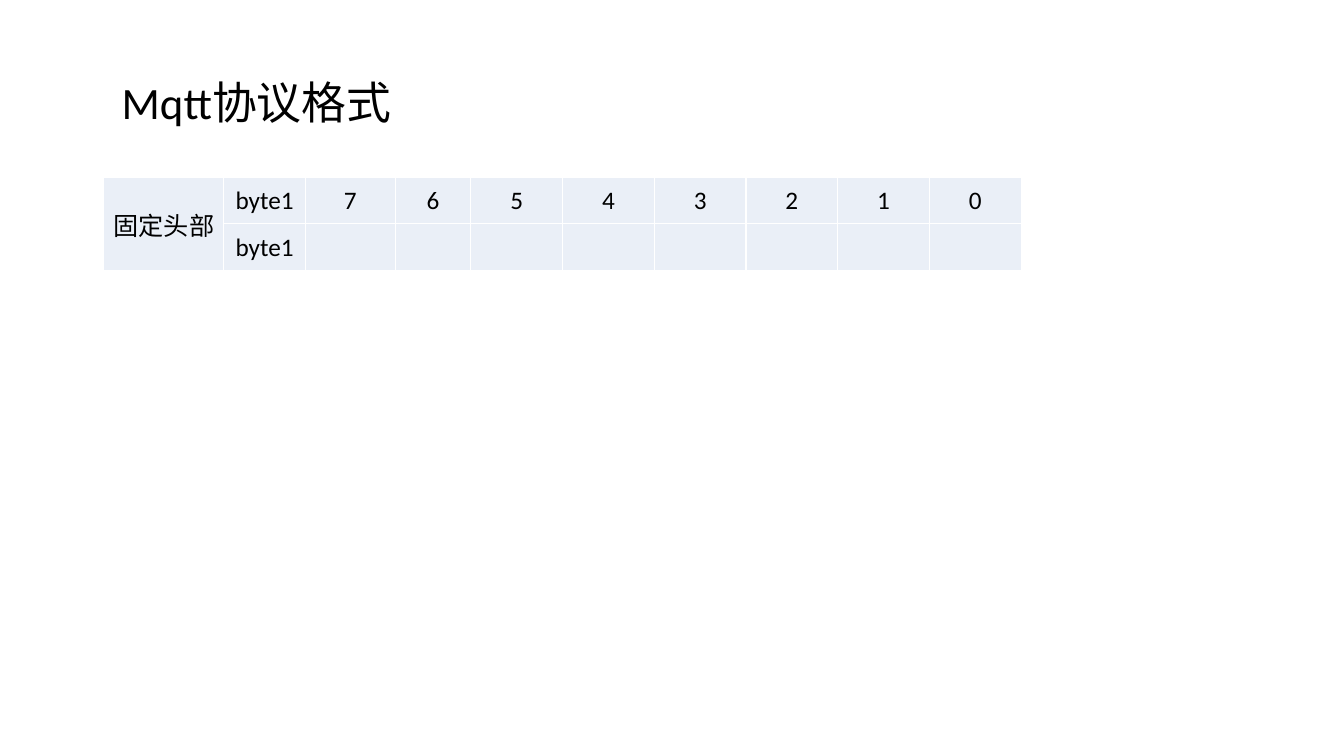
from pptx import Presentation
from pptx.dml.color import RGBColor
from pptx.enum.text import MSO_ANCHOR, MSO_AUTO_SIZE, PP_ALIGN
from pptx.oxml.ns import qn
from pptx.util import Inches, Pt
from lxml import etree

CENTER = PP_ALIGN.CENTER
MIDDLE = MSO_ANCHOR.MIDDLE
NO_FIT = MSO_AUTO_SIZE.NONE
TITLE_ONLY = 5

COLORS = {"text": "000000", "cell": "EAEFF7", "border": "FFFFFF"}
FONT = "Calibri"
COL_WIDTHS = [1.19, 0.81, 0.89, 0.75] + [0.91] * 6
ROW_HEIGHT = 0.46
HEADER_ROWS = [
    ["固定头部", "byte1"] + [str(bit) for bit in range(7, -1, -1)],
    ["", "byte1"] + [""] * 8,
]


def write(tf, text, size=18, color="text", align=CENTER):
    """Put one formatted paragraph into a text frame."""
    p = tf.paragraphs[0]
    p.alignment = align
    r = p.add_run()
    r.text = text
    r.font.size = Pt(size)
    r.font.name = FONT
    r.font.color.rgb = RGBColor.from_string(COLORS[color])


class SlideBuilder:
    """Hold the current slide and draw elements in its style."""

    def __init__(self, prs):
        """Add a title-only slide to the presentation."""
        self.s = prs.slides.add_slide(prs.slide_layouts[TITLE_ONLY])

    def title(self, text, left, top, width, height):
        """Move, fill and format the title placeholder."""
        sp = self.s.shapes.title
        sp.left, sp.top = Inches(left), Inches(top)
        sp.width, sp.height = Inches(width), Inches(height)
        tf = sp.text_frame
        tf.auto_size = NO_FIT
        tf.word_wrap = True
        tf.vertical_anchor = MIDDLE
        write(tf, text, size=32)

    def border(self, cell, width=1):
        """Draw a solid line on all four sides of a cell."""
        tc_pr = cell._tc.get_or_add_tcPr()
        for i, side in enumerate(("a:lnL", "a:lnR", "a:lnT", "a:lnB")):
            ln = etree.Element(qn(side), w=str(Pt(width)))
            fill = etree.SubElement(ln, qn("a:solidFill"))
            etree.SubElement(fill, qn("a:srgbClr"), val=COLORS["border"])
            tc_pr.insert(i, ln)

    def table(self, rows, widths, row_height, left, top):
        """Add a table whose first column is merged over all rows."""
        frame = self.s.shapes.add_table(
            len(rows), len(widths), Inches(left), Inches(top),
            Inches(sum(widths)), Inches(row_height * len(rows)))
        table = frame.table
        table.first_row = table.horz_banding = False
        for column, width in zip(table.columns, widths):
            column.width = Inches(width)
        for i, row in enumerate(rows):
            table.rows[i].height = Inches(row_height)
            for j, text in enumerate(row):
                self.cell(table.cell(i, j), text)
        table.cell(0, 0).merge(table.cell(len(rows) - 1, 0))

    def cell(self, cell, text):
        """Fill, frame and label one table cell."""
        cell.fill.solid()
        cell.fill.fore_color.rgb = RGBColor.from_string(COLORS["cell"])
        cell.vertical_anchor = MIDDLE
        cell.margin_left = cell.margin_right = cell.margin_top = Inches(0.01)
        cell.margin_bottom = 0
        self.border(cell)
        if text:
            write(cell.text_frame, text)


def main():
    """Build and save the slide."""
    prs = Presentation()
    prs.slide_width, prs.slide_height = Inches(13.33), Inches(7.5)
    slide = SlideBuilder(prs)
    slide.title("Mqtt协议格式", 1.03, 0.69, 3.03, 0.64)
    slide.table(HEADER_ROWS, COL_WIDTHS, ROW_HEIGHT, 1.03, 1.76)
    prs.save("out.pptx")


if __name__ == "__main__":
    main()
